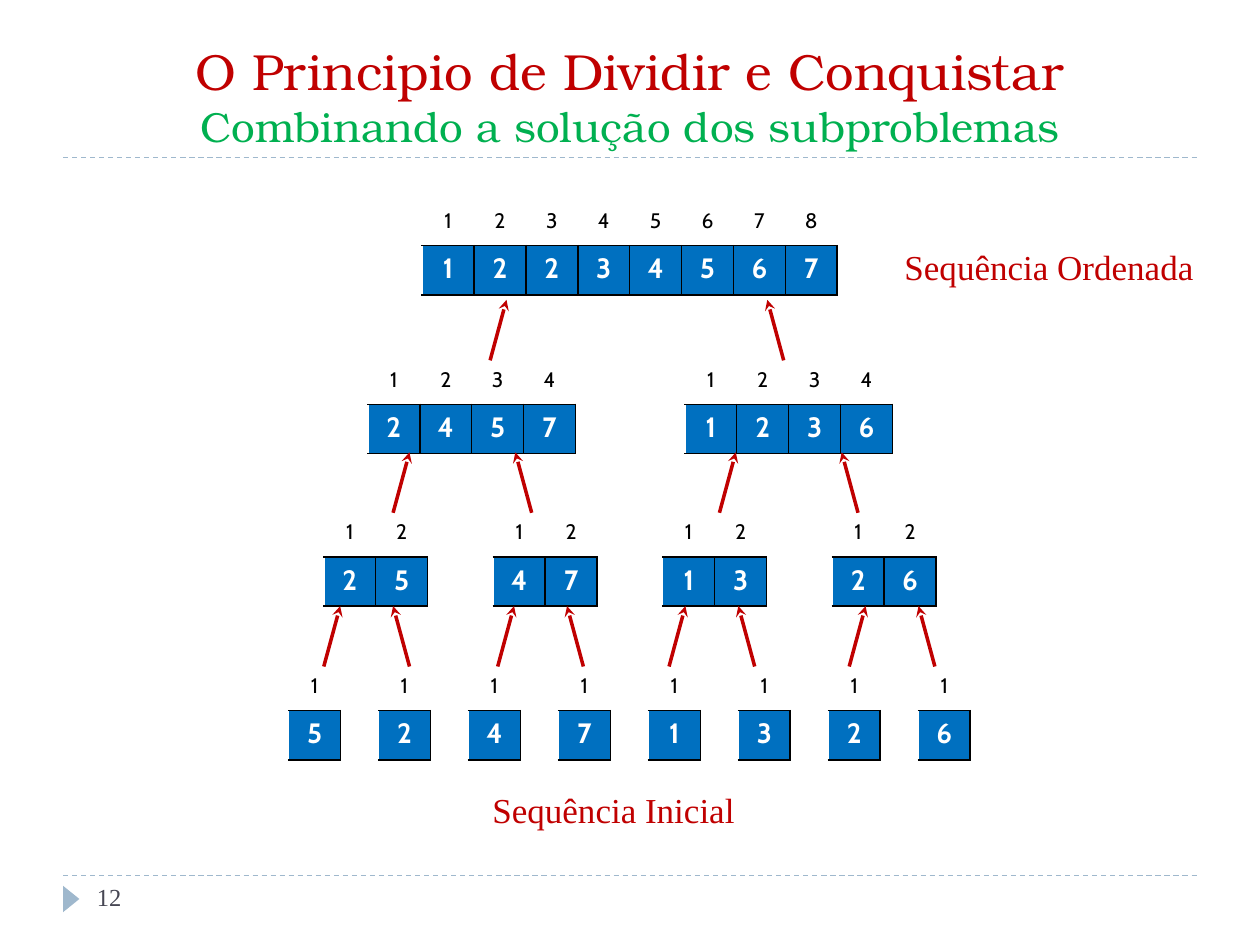
import pptx
import pptx.util
import pptx.dml.color
import pptx.enum.dml
import pptx.enum.shapes
import pptx.enum.text
import pptx.oxml
import pptx.oxml.ns

theme = {
    "red": "C00000", "green": "00B050", "blue": "0070C0", "black": "000000",
    "white": "FFFFFF", "pale": "9FB8CD", "slate": "464653",
    "head": "TeX Gyre Bonum", "cell": "Cabin", "note": "Times New Roman",
    "title": 29, "under": 24, "label": 20, "value": 16, "page": 14, "index": 12,
}
rgb = pptx.dml.color.RGBColor.from_string
align = pptx.enum.text.PP_ALIGN

deck = pptx.Presentation()
deck.slide_width = pptx.util.Inches(10)
deck.slide_height = pptx.util.Inches(7.5)
col = deck.slide_width / 100
row = deck.slide_height / 75
slide = deck.slides.add_slide(deck.slide_layouts[5])
shapes = slide.shapes


def paint(run, face, size, tone, bold=False):
    run.font.name = theme[face]
    run.font.size = pptx.util.Pt(theme[size])
    run.font.color.rgb = rgb(theme[tone])
    run.font.bold = bold


def draw(x1, y1, x2, y2, tone, width):
    line = shapes.add_connector(
        pptx.enum.shapes.MSO_CONNECTOR.STRAIGHT,
        int(x1 * col), int(y1 * row), int(x2 * col), int(y2 * row))
    line.line.color.rgb = rgb(theme[tone])
    line.line.width = pptx.util.Pt(width)
    line._element.spPr.append(pptx.oxml.parse_xml(
        f"<a:effectLst {pptx.oxml.ns.nsdecls('a')}/>"))
    return line


for y in (69.5, 12.5):
    rule = draw(5, y, 95, y, "pale", 0.75)
    rule.line.dash_style = pptx.enum.dml.MSO_LINE.DASH

mark = shapes.add_shape(
    pptx.enum.shapes.MSO_SHAPE.ISOSCELES_TRIANGLE,
    int(4.6 * col), int(70.7 * row), int(2.1 * col), int(1.3 * row))
mark.rotation = 90
mark.shadow.inherit = False
mark.fill.solid()
mark.fill.fore_color.rgb = rgb(theme["pale"])
mark.line.fill.background()

title = shapes.title
title.left, title.top = int(5 * col), int(2.5 * row)
title.width, title.height = int(90 * col), int(10 * row)
frame = title.text_frame
frame.text = "O Principio de Dividir e Conquistar\vCombinando a solução dos subproblemas"
frame.auto_size = pptx.enum.text.MSO_AUTO_SIZE.NONE
frame.vertical_anchor = pptx.enum.text.MSO_ANCHOR.BOTTOM
frame.paragraphs[0].alignment = align.CENTER
paint(frame.paragraphs[0].runs[0], "head", "title", "red")
paint(frame.paragraphs[0].runs[1], "head", "under", "green")

side = 4.12
tall = (3.5, 3.9)
levels = [
    (33.5, 16, 0, ["12234567"]),
    (29.2, 28.6, 25.15, ["2457", "1236"]),
    (25.7, 40.7, 13.45, ["25", "47", "13", "26"]),
    (22.9, 52.9, 7.14, list("52471326")),
]
for left, top, step, groups in levels:
    for spot, group in enumerate(groups):
        count = len(group)
        grid = shapes.add_table(
            2, count, int((left + spot * step) * col), int(top * row),
            int(side * count * col), int(sum(tall) * row)).table
        grid.first_row = False
        grid.horz_banding = False
        for part in grid.columns:
            part.width = int(side * col)
        for part, high in zip(grid.rows, tall):
            part.height = int(high * row)
        for c, digit in enumerate(group):
            looks = [
                (str(c + 1), "index", "black", "white", "B"),
                (digit, "value", "white", "blue", "LRTB" if c else "RTB"),
            ]
            for r, (text, size, tone, fill, sides) in enumerate(looks):
                cell = grid.cell(r, c)
                cell.margin_left = cell.margin_right = 0
                props = cell._tc.get_or_add_tcPr()
                for edge in sides:
                    props.append(pptx.oxml.parse_xml(
                        f'<a:ln{edge} {pptx.oxml.ns.nsdecls("a")} w="12700"><a:solidFill>'
                        f'<a:srgbClr val="{theme["black"]}"/></a:solidFill></a:ln{edge}>'))
                cell.fill.solid()
                cell.fill.fore_color.rgb = rgb(theme[fill])
                cell.text_frame.text = text
                par = cell.text_frame.paragraphs[0]
                par.alignment = align.CENTER
                paint(par.runs[0], "cell", size, tone, r == 1)

lean, rise = 1.3, 4.8
links = [
    (52.9, 6.8, [25.7, 39.5, 53.1, 67.4]),
    (40.7, 11, [31.2, 57.1]),
    (28.6, 23.3, [38.9]),
]
for base, gap, starts in links:
    for start in starts:
        for x, shift in ((start, lean), (start + gap, -lean)):
            arrow = draw(x, base, x + shift, base - rise, "red", 2)
            arrow.line._get_or_add_ln().append(pptx.oxml.parse_xml(
                f'<a:tailEnd {pptx.oxml.ns.nsdecls("a")} type="stealth"/>'))

notes = [
    ("Sequência Ordenada", 70.8, 19, 25.1, 4.4, "label", "red"),
    ("Sequência Inicial", 38.1, 62.1, 21.4, 4.4, "label", "red"),
    ("12", 6.7, 69.5, 21.7, 4, "page", "slate"),
]
for text, x, y, w, h, size, tone in notes:
    box = shapes.add_textbox(int(x * col), int(y * row), int(w * col), int(h * row))
    box.text_frame.word_wrap = True
    box.text_frame.text = text
    paint(box.text_frame.paragraphs[0].runs[0], "note", size, tone)

deck.save("out.pptx")
